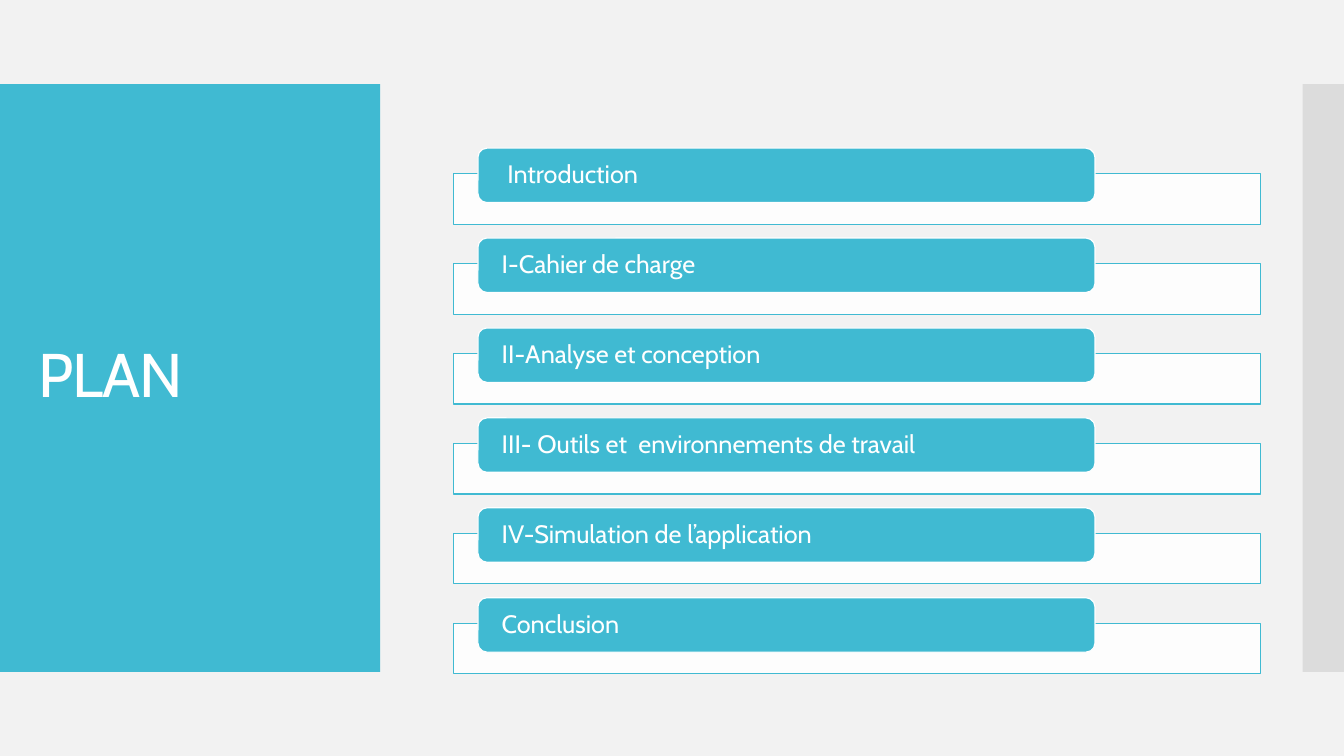
import pptx
import pptx.util
import pptx.dml.color
import pptx.enum.shapes
import pptx.enum.text
import pptx.oxml.ns
from lxml import etree

Inches, Pt = pptx.util.Inches, pptx.util.Pt
RGBColor = pptx.dml.color.RGBColor
SHAPE = pptx.enum.shapes.MSO_SHAPE

TITLE = "PLAN"
SECTIONS = [
    " Introduction",
    "I-Cahier de charge",
    "II-Analyse et conception",
    "III- Outils et  environnements de travail",
    "IV-Simulation de l’application",
    "Conclusion",
]

FONT = "Cabin"
TEAL = RGBColor(0x40, 0xBA, 0xD2)
WHITE = RGBColor(0xFF, 0xFF, 0xFF)
GREY = RGBColor(0xC8, 0xC8, 0xC8)
BACKGROUND = RGBColor(0xF2, 0xF2, 0xF2)

WIDTH, HEIGHT = 13.33, 7.5
BAND_TOP, BAND_HEIGHT = HEIGHT / 9, HEIGHT * 7 / 9
PANEL_WIDTH, STRIP_LEFT = 3.77, 12.92
ROW_TOP, ROW_PITCH = 1.47, 0.892
BAR_LEFT, BAR_WIDTH, BAR_HEIGHT, BAR_DROP = 4.5, 8, 0.5, 0.255
LABEL_LEFT, LABEL_WIDTH, LABEL_HEIGHT = 4.74, 6.12, 0.54


def add_box(kind, left, top, width, height, fill, line=None, opacity=100):
    s = slide.shapes.add_shape(kind, *map(Inches, (left, top, width, height)))
    s.shadow.inherit = False
    s.fill.solid()
    s.fill.fore_color.rgb = fill
    if opacity < 100:
        color = s.fill._xPr.find(".//" + pptx.oxml.ns.qn("a:srgbClr"))
        alpha = etree.SubElement(color, pptx.oxml.ns.qn("a:alpha"))
        alpha.set("val", str(opacity * 1000))
    if line is None:
        s.line.fill.background()
    else:
        s.line.color.rgb = line
        s.line.width = Pt(0.85)
    return s


def write(s, text, size, inset, spacing=0):
    tf = s.text_frame
    tf.word_wrap = True
    tf.vertical_anchor = pptx.enum.text.MSO_ANCHOR.MIDDLE
    tf.margin_left = tf.margin_right = Inches(inset)
    tf.margin_top = tf.margin_bottom = 0
    p = tf.paragraphs[0]
    p.alignment = pptx.enum.text.PP_ALIGN.LEFT
    p.line_spacing = 0.9
    r = p.add_run()
    r.text = text
    p.font.name = FONT
    p.font.size = Pt(size)
    p.font.color.rgb = WHITE
    if spacing:
        r.font._element.set("spc", str(spacing))


prs = pptx.Presentation()
prs.slide_width, prs.slide_height = Inches(WIDTH), Inches(HEIGHT)
slide = prs.slides.add_slide(prs.slide_layouts[6])
slide.background.fill.solid()
slide.background.fill.fore_color.rgb = BACKGROUND

add_box(SHAPE.RECTANGLE, 0, BAND_TOP, PANEL_WIDTH, BAND_HEIGHT, TEAL)
add_box(SHAPE.RECTANGLE, STRIP_LEFT, BAND_TOP, WIDTH - STRIP_LEFT, BAND_HEIGHT,
        GREY, opacity=50)
title = slide.shapes.add_textbox(*map(Inches, (0.28, 1.23, 3.22, 5.03)))
write(title, TITLE, 44, 0.1, spacing=-60)

for i, section in enumerate(SECTIONS):
    top = ROW_TOP + i * ROW_PITCH
    add_box(SHAPE.RECTANGLE, BAR_LEFT, top + BAR_DROP, BAR_WIDTH, BAR_HEIGHT,
            WHITE, TEAL, opacity=90)
    label = add_box(SHAPE.ROUNDED_RECTANGLE, LABEL_LEFT, top, LABEL_WIDTH,
                    LABEL_HEIGHT, TEAL, WHITE)
    write(label, section, 18, 0.21)

prs.save("out.pptx")
